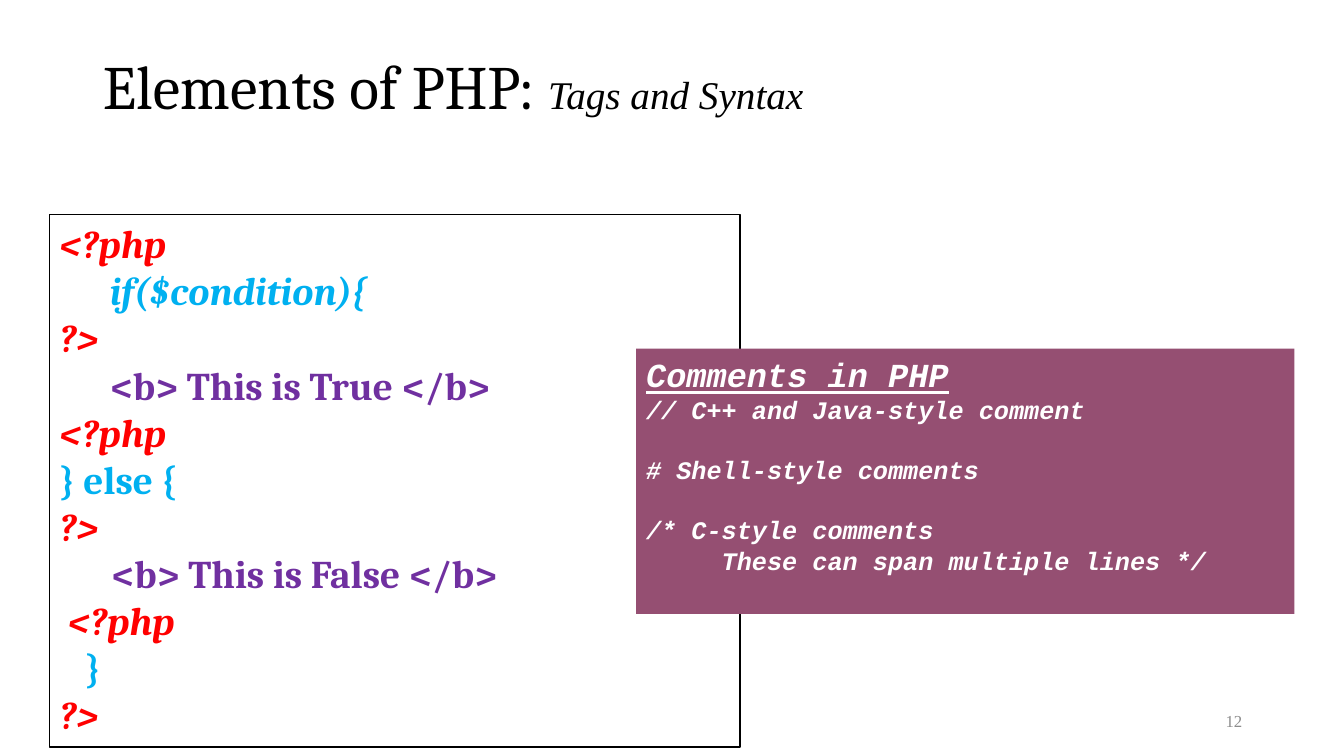
from pptx import Presentation
from pptx.dml.color import RGBColor
from pptx.enum.shapes import MSO_SHAPE as Shape
from pptx.enum.text import MSO_ANCHOR as Anchor, MSO_AUTO_SIZE as AutoSize, PP_ALIGN as Align
from pptx.util import Inches, Pt

COLORS = {"black": "000000", "white": "FFFFFF", "tag": "FF0000", "logic": "00B0F0",
          "html": "7030A0", "plum": "954F72", "gray": "8C8C8C"}


def add_span(para, text, font, size, color, bold=False, italic=False, underline=False):
    span = para.add_run()
    span.text = text
    span.font.name = font
    span.font.size = Pt(size)
    span.font.color.rgb = RGBColor.from_string(COLORS[color])
    span.font.bold = bold
    span.font.italic = italic
    span.font.underline = underline


def add_panel(page, left, top, width, height, fill):
    box = page.shapes.add_shape(Shape.RECTANGLE, Inches(left), Inches(top),
                                Inches(width), Inches(height))
    box.shadow.inherit = False
    box.fill.solid()
    box.fill.fore_color.rgb = RGBColor.from_string(COLORS[fill])
    box.text_frame.word_wrap = True
    box.text_frame.vertical_anchor = Anchor.TOP
    return box


deck = Presentation()
deck.slide_width, deck.slide_height = Inches(13.33), Inches(7.5)
page = deck.slides.add_slide(deck.slide_layouts[5])

title = page.shapes.title
title.left, title.top = Inches(0.92), Inches(0.4)
title.width, title.height = Inches(11.5), Inches(0.98)
title.text_frame.auto_size = AutoSize.NONE
title.text_frame.vertical_anchor = Anchor.MIDDLE
para = title.text_frame.paragraphs[0]
para.alignment = Align.LEFT
para.line_spacing = 0.9
add_span(para, "Elements of PHP: ", "Cambria", 44, "black")
add_span(para, "Tags and Syntax", "Times New Roman", 28, "black", italic=True)

number = page.shapes.add_textbox(Inches(9.42), Inches(6.95), Inches(3), Inches(0.4))
number.text_frame.word_wrap = True
number.text_frame.vertical_anchor = Anchor.MIDDLE
para = number.text_frame.paragraphs[0]
para.alignment = Align.RIGHT
add_span(para, "12", "Times New Roman", 12, "gray")

code_lines = [
    ("<?php", "tag", True),
    ("\tif($condition){", "logic", True),
    ("?>", "tag", True),
    ("\t<b> This is True </b>", "html", False),
    ("<?php", "tag", True),
    ("} else {", "logic", False),
    ("?>", "tag", True),
    ("      <b> This is False </b>", "html", False),
    (" <?php", "tag", True),
    ("   }", "logic", False),
    ("?>", "tag", True),
]
code_box = add_panel(page, 0.49, 2.13, 6.85, 5.28, "white")
code_box.line.color.rgb = RGBColor.from_string(COLORS["black"])
code_box.line.width = Pt(1)
frame = code_box.text_frame
for index, (text, color, italic) in enumerate(code_lines):
    para = frame.add_paragraph() if index else frame.paragraphs[0]
    para.alignment = Align.LEFT
    add_span(para, text, "Cambria", 28, color, bold=True, italic=italic)

comment_lines = [
    ("Comments in PHP", 24, 0),
    ("// C++ and Java-style comment", 18, 0),
    ("# Shell-style comments", 18, 21.5),
    ("/* C-style comments", 18, 21.5),
    ("     These can span multiple lines */", 18, 0),
]
comment_box = add_panel(page, 6.31, 3.46, 6.53, 2.63, "plum")
comment_box.line.fill.background()
frame = comment_box.text_frame
for index, (text, size, gap) in enumerate(comment_lines):
    para = frame.add_paragraph() if index else frame.paragraphs[0]
    para.alignment = Align.LEFT
    if gap:
        para.space_before = Pt(gap)
    add_span(para, text, "Courier New", size, "white", bold=True, italic=True,
             underline=index == 0)

deck.save("out.pptx")
